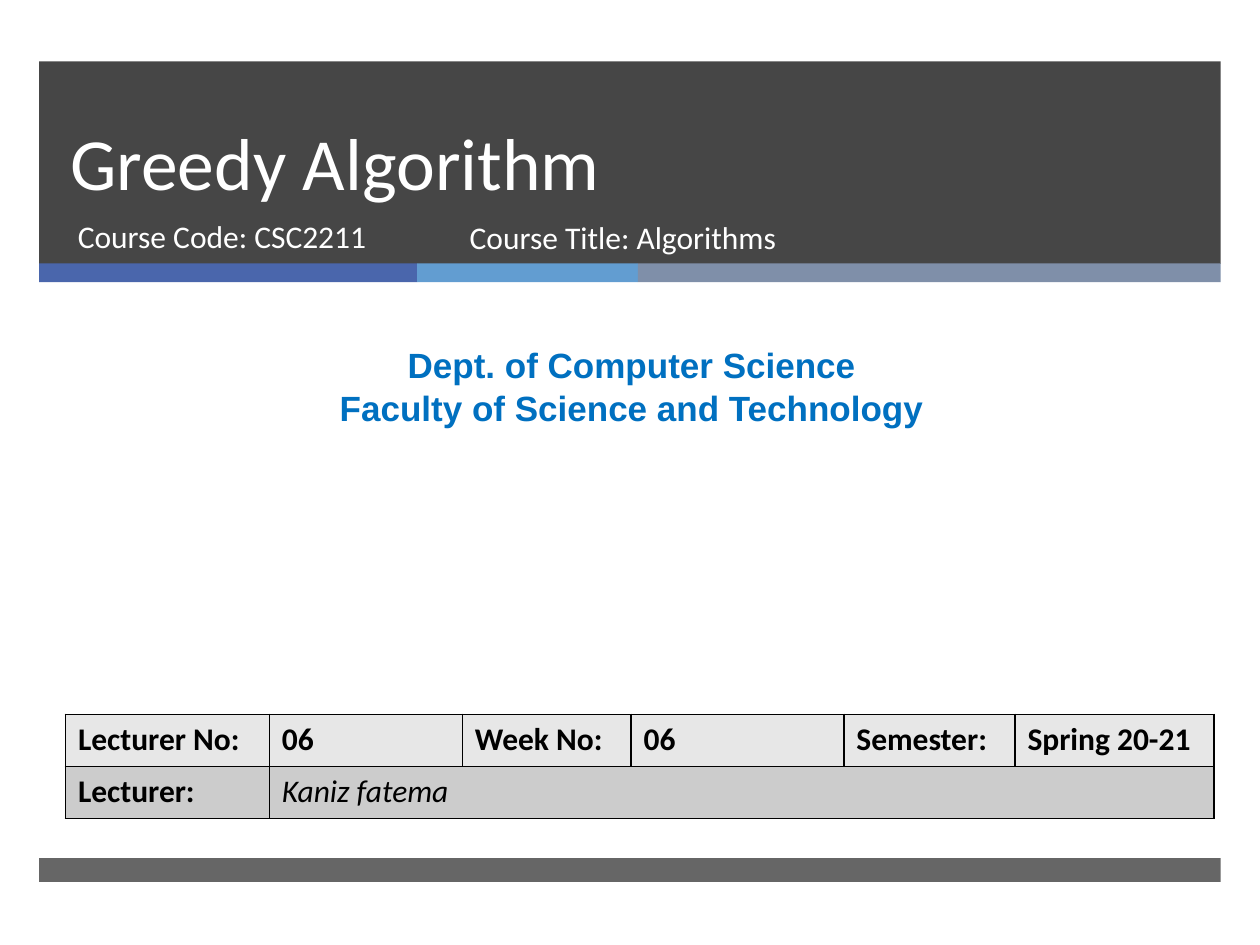
import dataclasses
import typing

import lxml.etree
import pptx
import pptx.dml.color
import pptx.enum.shapes
import pptx.enum.text
import pptx.oxml.ns
import pptx.util

Cm = pptx.util.Cm
Pt = pptx.util.Pt
qn = pptx.oxml.ns.qn
PP_ALIGN = pptx.enum.text.PP_ALIGN
ANCHOR = pptx.enum.text.MSO_ANCHOR


@dataclasses.dataclass(frozen=True)
class Theme:
    dark: str = "262626"
    accents: tuple[str, ...] = ("4A66AC", "629DD1", "7F8FA9")
    white: str = "FFFFFF"
    black: str = "000000"
    department: str = "0070C0"
    rows: tuple[str, ...] = ("E7E7E7", "CCCCCC")
    body_font: str = "Calibri"
    department_font: str = "Arial"
    title_size: int = 42
    department_size: int = 20
    body_size: int = 18


@dataclasses.dataclass(frozen=True)
class Box:
    """A rectangle in centimetres."""
    left: float
    top: float
    width: float
    height: float

    def emu(self) -> tuple[int, ...]:
        return tuple(Cm(v) for v in dataclasses.astuple(self))


THEME = Theme()
BAND_LEFT, BAND_WIDTH = 0.79, 23.82
STRIPE_TOP, STRIPE_HEIGHT = 5.31, 0.38
STRIPE_WIDTHS = (7.62, 4.45, 11.75)
TABLE_LEFT, TABLE_TOP, ROW_HEIGHT = 1.32, 14.4, 1.05
COLUMN_WIDTHS = (4.11, 3.89, 3.4, 4.29, 3.45, 4.01)
TABLE_ROWS = (
    ("Lecturer No:", "06", "Week No:", "06", "Semester:", "Spring 20-21"),
    ("Lecturer:", "Kaniz fatema"),
)


def rgb(color: str) -> pptx.dml.color.RGBColor:
    return pptx.dml.color.RGBColor.from_string(color)


def write(tf, text: str, *, size: int = THEME.body_size, font: str = THEME.body_font,
          color: str = THEME.white, bold: bool = False, italic: bool = False,
          align=PP_ALIGN.LEFT, spacing: typing.Optional[int] = None) -> None:
    """Fill a text frame, one paragraph for each line of text."""
    for i, line in enumerate(text.split("\n")):
        p = tf.add_paragraph() if i else tf.paragraphs[0]
        p.alignment = align
        if spacing:
            p.line_spacing = Pt(spacing)
        r = p.add_run()
        r.text = line
        r.font.name, r.font.size = font, Pt(size)
        r.font.bold, r.font.italic = bold, italic
        r.font.color.rgb = rgb(color)


def add_bar(s, box: Box, color: str, opacity: int = 100) -> None:
    sp = s.shapes.add_shape(pptx.enum.shapes.MSO_SHAPE.RECTANGLE, *box.emu())
    sp.shadow.inherit = False
    sp.line.fill.background()
    sp.fill.solid()
    sp.fill.fore_color.rgb = rgb(color)
    if opacity < 100:
        clr = sp.fill._xPr.find(qn("a:solidFill"))[0]
        lxml.etree.SubElement(clr, qn("a:alpha"), val=str(opacity * 1000))


def add_text(s, box: Box, text: str, anchor=ANCHOR.TOP, **style) -> None:
    tf = s.shapes.add_textbox(*box.emu()).text_frame
    tf.word_wrap = True
    tf.vertical_anchor = anchor
    write(tf, text, **style)


def format_cell(cell, fill: str) -> None:
    """Set the fill of a cell and a thin black border on its four sides."""
    tcPr = cell._tc.get_or_add_tcPr()
    for side in ("a:lnL", "a:lnR", "a:lnT", "a:lnB"):
        ln = lxml.etree.SubElement(tcPr, qn(side), w=str(Pt(1)))
        solid = lxml.etree.SubElement(ln, qn("a:solidFill"))
        lxml.etree.SubElement(solid, qn("a:srgbClr"), val=THEME.black)
    cell.fill.solid()
    cell.fill.fore_color.rgb = rgb(fill)


def add_lecture_table(s) -> None:
    box = Box(TABLE_LEFT, TABLE_TOP, sum(COLUMN_WIDTHS), ROW_HEIGHT * len(TABLE_ROWS))
    table = s.shapes.add_table(len(TABLE_ROWS), len(COLUMN_WIDTHS), *box.emu()).table
    for column, width in zip(table.columns, COLUMN_WIDTHS):
        column.width = Cm(width)
    for row, texts, fill in zip(table.rows, TABLE_ROWS, THEME.rows):
        row.height = Cm(ROW_HEIGHT)
        for cell in row.cells:
            format_cell(cell, fill)
        for cell, text in zip(row.cells, texts):
            is_name = len(texts) == 2 and text == texts[-1]
            write(cell.text_frame, text, color=THEME.black, bold=not is_name, italic=is_name)
    table.cell(1, 1).merge(table.cell(1, len(COLUMN_WIDTHS) - 1))


def main() -> None:
    prs = pptx.Presentation()
    prs.slide_width, prs.slide_height = Cm(25.4), Cm(19.05)
    s = prs.slides.add_slide(prs.slide_layouts[6])

    add_bar(s, Box(BAND_LEFT, 1.24, BAND_WIDTH, 4.08), THEME.dark, opacity=85)
    left = BAND_LEFT
    for width, color in zip(STRIPE_WIDTHS, THEME.accents):
        add_bar(s, Box(left, STRIPE_TOP, width, STRIPE_HEIGHT), color)
        left += width
    add_bar(s, Box(BAND_LEFT, 17.3, BAND_WIDTH, 0.48), THEME.dark, opacity=70)

    add_text(s, Box(1.17, 1.24, 21.69, 3.02), "Greedy Algorithm", ANCHOR.BOTTOM,
             size=THEME.title_size, spacing=46)
    add_text(s, Box(1.32, 4.26, 7.75, 1.35), "Course Code: CSC2211")
    add_text(s, Box(9.22, 4.28, 11.56, 1.35), "Course Title: Algorithms")
    add_text(s, Box(0.2, 6.81, 25.07, 1.96),
             "Dept. of Computer Science\nFaculty of Science and Technology",
             size=THEME.department_size, font=THEME.department_font,
             color=THEME.department, bold=True, align=PP_ALIGN.CENTER, spacing=24)
    add_lecture_table(s)
    prs.save("out.pptx")


if __name__ == "__main__":
    main()
